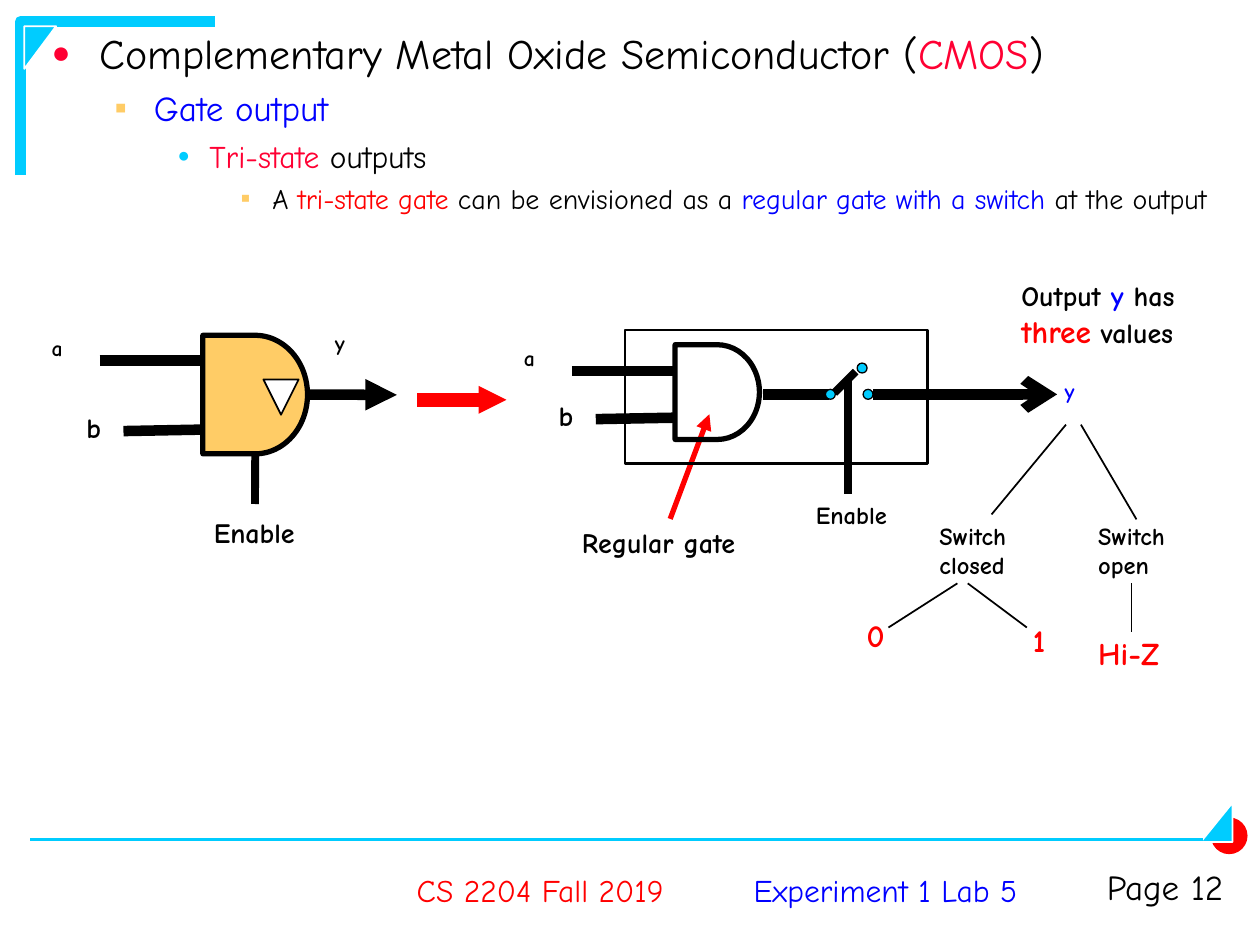
from dataclasses import dataclass

from pptx import Presentation
from pptx.dml.color import RGBColor as Rgb
from pptx.enum.shapes import MSO_CONNECTOR as Link, MSO_SHAPE as Preset
from pptx.enum.text import MSO_ANCHOR as Anchor, MSO_AUTO_SIZE as Fit, PP_ALIGN as Align
from pptx.oxml.ns import qn
from pptx.oxml.xmlchemy import OxmlElement as Element
from pptx.util import Cm, Pt


@dataclass(frozen=True)
class Theme:
    font: str = "Comic Neue"
    black: Rgb = Rgb(0, 0, 0)
    white: Rgb = Rgb(255, 255, 255)
    red: Rgb = Rgb(255, 0, 0)
    crimson: Rgb = Rgb(255, 0, 51)
    blue: Rgb = Rgb(0, 0, 255)
    cyan: Rgb = Rgb(0, 204, 255)
    amber: Rgb = Rgb(255, 204, 102)
    heading: float = 24
    large: float = 20
    medium: float = 18
    normal: float = 16
    small: float = 14
    pin: float = 12.4


THEME = Theme()


def add_span(para, text, size, color, bold):
    span = para.add_run()
    span.text = text
    span.font.name = THEME.font
    span.font.size = Pt(size)
    span.font.color.rgb = color
    span.font.bold = bold


@dataclass
class Region:
    page: object
    left: float
    top: float

    def inner(self, x, y):
        return Region(self.page, self.left + x, self.top + y)

    def place(self, x, y):
        return Cm(self.left + x), Cm(self.top + y)

    def paint(self, shape, fill, line, weight):
        shape.shadow.inherit = False
        if fill is None:
            shape.fill.background()
        else:
            shape.fill.solid()
            shape.fill.fore_color.rgb = fill
        if line is None:
            shape.line.fill.background()
        else:
            shape.line.color.rgb = line
            shape.line.width = Pt(weight)
        return shape

    def block(self, preset, x, y, width, height, fill=None, line=None, weight=1, turn=0):
        shape = self.page.shapes.add_shape(preset, *self.place(x, y), Cm(width), Cm(height))
        shape.rotation = turn
        return self.paint(shape, fill, line, weight)

    def outline(self, points, color, weight):
        start, *rest = [self.place(*point) for point in points]
        builder = self.page.shapes.build_freeform(*start, scale=1.0)
        builder.add_line_segments(rest, close=False)
        return self.paint(builder.convert_to_shape(), None, color, weight)

    def wire(self, start, end, weight=1, color=THEME.black, head=None, head_size="med"):
        wire = self.page.shapes.add_connector(Link.STRAIGHT, *self.place(*start), *self.place(*end))
        wire.line.color.rgb = color
        wire.line.width = Pt(weight)
        props = wire._element.spPr
        if head:
            tip = Element("a:tailEnd")
            tip.set("type", head)
            tip.set("w", head_size)
            tip.set("len", head_size)
            props.find(qn("a:ln")).append(tip)
        props.append(Element("a:effectLst"))
        return wire

    def label(self, x, y, width, height, spans, align=Align.LEFT, spacing=1.0,
              wrap=True, bold=True, anchor=Anchor.TOP):
        box = self.page.shapes.add_textbox(*self.place(x, y), Cm(width), Cm(height))
        frame = box.text_frame
        frame.word_wrap = wrap
        frame.vertical_anchor = anchor
        para = frame.paragraphs[0]
        para.alignment = align
        para.line_spacing = spacing
        for text, size, color in spans:
            add_span(para, text, size, color, bold)


def draw_frame(region):
    region.outline([(0.41, 3.53), (0.41, 0.43), (4.34, 0.43)], THEME.cyan, 6)
    region.block(Preset.RIGHT_TRIANGLE, 0.38, 0.64, 0.86, 0.64, THEME.cyan, THEME.white, 1, 90)
    region.block(Preset.OVAL, 24.41, 16.48, 0.74, 0.74, THEME.red)
    region.block(Preset.RIGHT_TRIANGLE, 24.13, 16.26, 0.79, 0.64, THEME.cyan, THEME.white, 1, 270)
    region.outline([(24.84, 16.41), (24.84, 16.97), (24.46, 16.97)], THEME.white, 0.75)
    region.wire((0.61, 16.92), (24.26, 16.92), 1.5, THEME.cyan)


def add_bullet(para, mark, color, percent):
    props = para._p.get_or_add_pPr()
    tint = Element("a:buClr")
    shade = Element("a:srgbClr")
    shade.set("val", str(color))
    tint.append(shade)
    size = Element("a:buSzPct")
    size.set("val", str(percent * 1000))
    char = Element("a:buChar")
    char.set("char", mark)
    for part in (tint, size, char):
        props.append(part)


def fill_outline(body, x, y, width, height):
    body.left, body.top, body.width, body.height = Cm(x), Cm(y), Cm(width), Cm(height)
    frame = body.text_frame
    frame.auto_size = Fit.NONE
    frame.margin_left = frame.margin_right = Cm(0.51)
    frame.margin_top = frame.margin_bottom = Cm(0.13)
    black, red, crimson, blue = THEME.black, THEME.red, THEME.crimson, THEME.blue
    levels = [
        (0.97, 0.97, 0, 0.9, "●", crimson, 75, THEME.heading,
         [("Complementary Metal Oxide Semiconductor (", black), ("CMOS", crimson), (")", black)]),
        (2.06, 0.79, 5, 1.0, "▪", THEME.amber, 100, THEME.large, [("Gate output", blue)]),
        (3.18, 0.64, 4.5, 1.0, "●", THEME.cyan, 65, THEME.medium,
         [("Tri-state", crimson), (" outputs", black)]),
        (4.45, 0.64, 4, 1.0, "▪", THEME.amber, 100, THEME.normal,
         [("A ", black), ("tri-state gate", red), (" can be envisioned as a ", black),
          ("regular gate with a switch", blue), (" at the output", black)]),
    ]
    for level, (margin, hang, before, spacing, mark, tint, percent, size, spans) in enumerate(levels):
        para = frame.add_paragraph() if level else frame.paragraphs[0]
        para.level = level
        para.line_spacing = spacing
        para.space_before = Pt(before)
        props = para._p.get_or_add_pPr()
        props.set("marL", str(Cm(margin)))
        props.set("indent", str(-Cm(hang)))
        add_bullet(para, mark, tint, percent)
        for text, color in spans:
            add_span(para, text, size, color, False)


def draw_footer(region):
    for x, text, color in ((6.96, "Experiment 1 Lab 5", THEME.blue), (0, "CS 2204 Fall 2019", THEME.red)):
        region.label(x, 0, 6.6, 1.63, [(text, THEME.medium, color)], Align.CENTER,
                     wrap=False, bold=False, anchor=Anchor.MIDDLE)
    region.label(13.61, 0.2, 3.71, 1.42, [("Page 12", THEME.large, THEME.black)], Align.RIGHT, bold=False)


def draw_gate(region, width, height, pin_a, pin_b, fill=None):
    gate = region.block(Preset.FLOWCHART_DELAY, 0, 0, width, height, fill, THEME.black, 3)
    region.wire((-1.6, pin_b), (0, pin_b - 0.03), 6)
    region.wire((-2.08, pin_a), (0, pin_a), 6)
    region.label(-3.3, pin_a - 0.51, 1.02, 0.64, [("a", THEME.pin, THEME.black)], spacing=0.7)
    region.label(-2.6, pin_b - 0.41, 1.27, 0.84, [("b", THEME.normal, THEME.black)], spacing=0.8)
    return gate


def draw_tri_state(region):
    gate = draw_gate(region, 2.11, 2.39, 0.51, 1.93, THEME.amber)
    region.wire((2.11, 1.2), (3.91, 1.2), 6, head="triangle").begin_connect(gate, 3)
    region.label(2.41, -0.1, 1.02, 0.64, [("y", THEME.pin, THEME.black)], spacing=0.7)
    region.block(Preset.ISOSCELES_TRIANGLE, 1.22, 0.89, 0.71, 0.71, THEME.white, THEME.black, 1, 180)
    region.wire((1.05, 2.39), (1.05, 3.4), 4.5).begin_connect(gate, 2)
    region.label(-0.03, 3.51, 2.13, 0.94, [("Enable", THEME.normal, THEME.black)], wrap=False)


def draw_switch_model(region):
    region.label(3.3, 3.3, 2.53, 0.86, [("Enable", THEME.small, THEME.black)], Align.CENTER, wrap=False)
    region.label(-1.12, 3.81, 3.61, 0.94, [("Regular gate", THEME.normal, THEME.black)], wrap=False)
    region.wire((0.91, 3.81), (1.7, 1.7), 3, THEME.red, "triangle")
    region.label(8.61, 0.99, 1.02, 0.64, [("y", THEME.pin, THEME.blue)], spacing=0.7)
    draw_gate(region.inner(1.01, 0.3), 1.7, 1.91, 0.53, 1.5)
    region.block(Preset.RECTANGLE, 0, 0, 6.1, 2.69, None, THEME.black, 1.5)
    region.wire((2.79, 1.3), (4.11, 1.3), 6)
    region.wire((5, 1.3), (8.71, 1.3), 6, head="arrow")
    region.wire((4.5, 0.99), (4.5, 3.3), 4.5)
    region.wire((4.22, 1.27), (4.65, 0.84), 4.5)
    for x, y in ((4.04, 1.2), (4.8, 1.2), (4.68, 0.67)):
        region.block(Preset.OVAL, x, y, 0.2, 0.2, THEME.cyan, THEME.black, 0.75)


def draw_value_tree(region):
    black, red = THEME.black, THEME.red
    region.label(3.12, 0, 4.27, 1.7, [
        ("Output ", THEME.normal, black), ("y", THEME.normal, THEME.blue), (" has ", THEME.normal, black),
        ("three", THEME.medium, red), (" values", THEME.normal, black)])
    branches = [((4.27, 3.07), (2.77, 4.88)), ((4.57, 3.07), (5.69, 4.98)), ((2.08, 6.27), (0.69, 7.16)),
                ((2.29, 6.27), (3.48, 7.16)), ((5.59, 6.27), (5.59, 7.26))]
    for start, end in branches:
        region.wire(start, end)
    for x, text in ((1.47, "Switch closed"), (4.67, "Switch open")):
        region.label(x, 4.88, 2.21, 1.45, [(text, THEME.small, black)])
    for x, y, width, text in ((0, 6.81, 0.86, "0"), (3.35, 6.91, 0.76, "1"), (4.67, 7.16, 2.16, "Hi-Z")):
        region.label(x, y, width, 1.02, [(text, THEME.medium, red)], wrap=False)


def main():
    deck = Presentation()
    deck.slide_width, deck.slide_height = Cm(25.4), Cm(19.05)
    page = deck.slides.add_slide(deck.slide_layouts[1])
    title = page.shapes.title._element
    title.getparent().remove(title)
    draw_frame(Region(page, 0, 0))
    fill_outline(page.placeholders[1], 0.53, 0.53, 24.33, 16.41)
    draw_footer(Region(page, 7.59, 17.12))
    draw_tri_state(Region(page, 4.09, 6.76))
    Region(page, 8.41, 8.06).wire((0, 0), (1.8, 0), 8, THEME.red, "triangle", "sm")
    draw_switch_model(Region(page, 12.6, 6.65))
    draw_value_tree(Region(page, 17.22, 5.49))
    deck.save("out.pptx")


if __name__ == "__main__":
    main()
